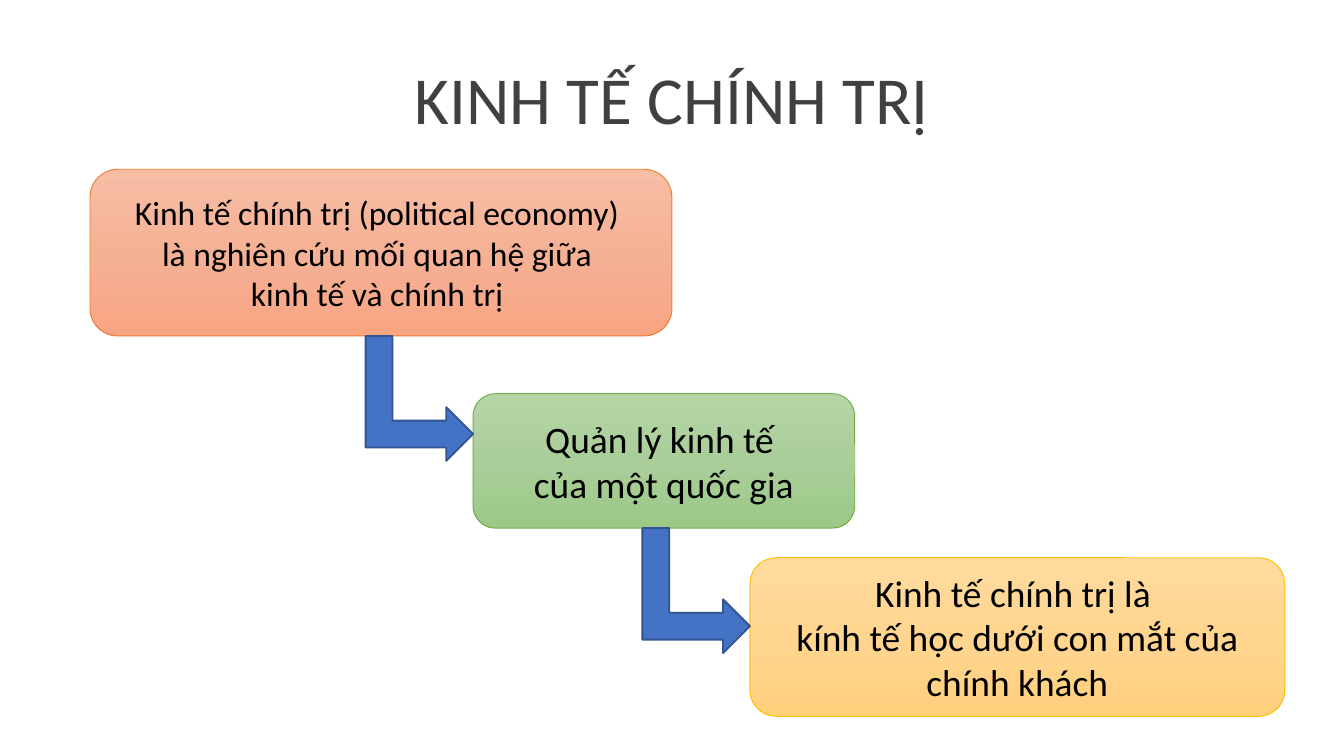
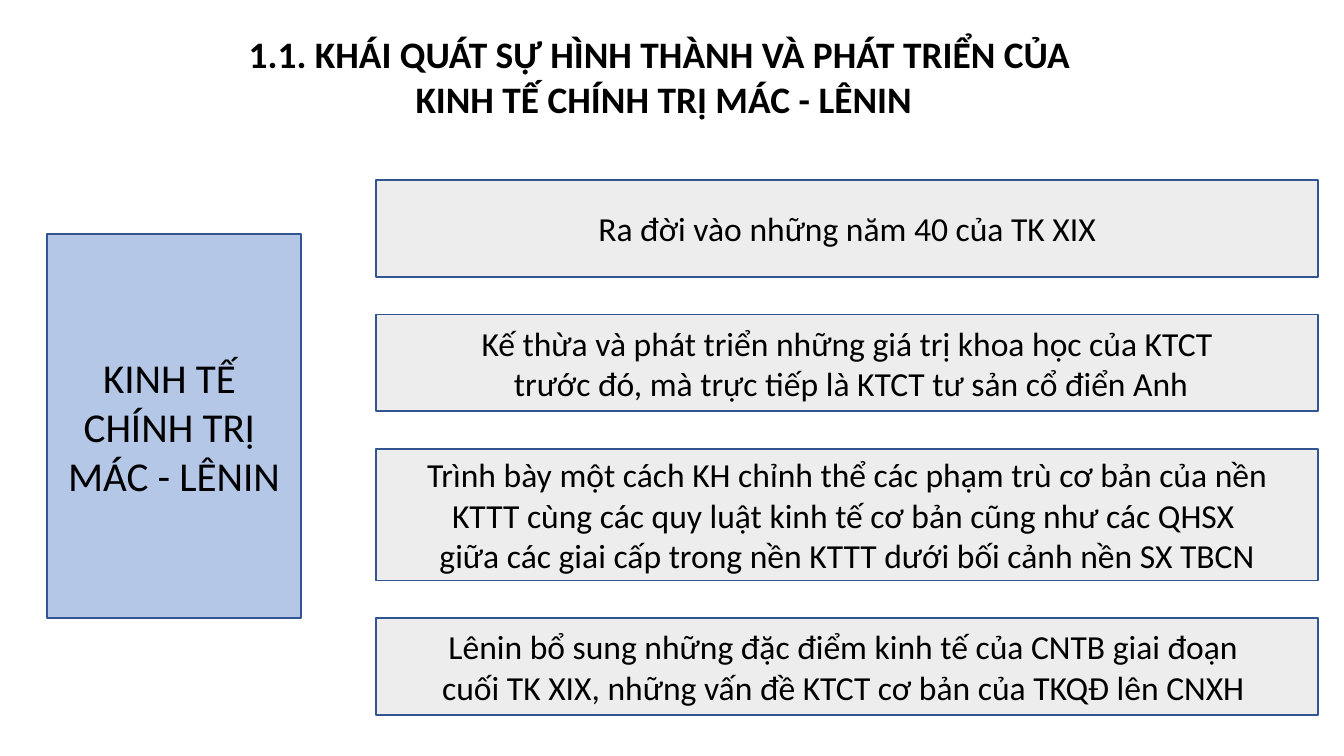
from copy import deepcopy

from pptx import Presentation
from pptx.dml.color import RGBColor
from pptx.enum.shapes import MSO_SHAPE as Shape
from pptx.enum.text import MSO_ANCHOR as Anchor, PP_ALIGN as Align
from pptx.util import Inches, Pt

FONT = "Calibri"
COLORS = {
    "title": "404040",
    "text": "000000",
    "arrow": "4472C4",
    "outline": "325491",
    "topic": "B4C7E7",
    "point": "EDEDED",
    "orange": "ED7D31",
    "green": "70AD47",
    "gold": "FFC000",
}
GRADIENTS = {
    "orange": ("F7BDA5", "F5B196", "F8A582"),
    "green": ("B5D5A7", "AACE9A", "9CC987"),
    "gold": ("FFDB9E", "FFD590", "FFD07C"),
}
STEPS = [
    ((0.67, 1.26, 4.33, 1.24), "orange", 18,
     ["Kinh tế chính trị (political economy) ",
      "là nghiên cứu mối quan hệ giữa ",
      "kinh tế và chính trị "]),
    ((3.52, 2.93, 2.84, 1), "green", 20,
     ["Quản lý kinh tế ", "của một quốc gia"]),
    ((5.58, 4.15, 3.98, 1.18), "gold", 20,
     ["Kinh tế chính trị là ",
      "kính tế học dưới con mắt của chính khách"]),
]
TOPIC = ["KINH TẾ ", "CHÍNH TRỊ ", "MÁC - LÊNIN"]
POINTS = [
    (0.72, ["Ra đời vào những năm 40 của TK XIX"]),
    (0.72, ["Kế thừa và phát triển những giá trị khoa học của KTCT",
            " trước đó, mà trực tiếp là KTCT tư sản cổ điển Anh"]),
    (0.98, ["Trình bày một cách KH chỉnh thể các phạm trù cơ bản của nền "
            "KTTT cùng các quy luật kinh tế cơ bản cũng như các QHSX ",
            "giữa các giai cấp trong nền KTTT dưới bối cảnh nền SX TBCN"]),
    (0.72, ["Lênin bổ sung những đặc điểm kinh tế của CNTB giai đoạn ",
            "cuối TK XIX, những vấn đề KTCT cơ bản của TKQĐ lên CNXH "]),
]


def color(name):
    """Return the named palette colour."""
    return RGBColor.from_string(COLORS[name])


def write(shape, lines, size, ink="text", bold=False, inset=0.1):
    """Write centred paragraphs in the middle of a shape and return them."""
    frame = shape.text_frame
    frame.word_wrap = True
    frame.vertical_anchor = Anchor.MIDDLE
    frame.margin_left = frame.margin_right = Inches(inset)
    frame.text = "\n".join(lines)
    for paragraph in frame.paragraphs:
        paragraph.alignment = Align.CENTER
        font = paragraph.font
        font.name, font.size, font.bold = FONT, Pt(size), bold
        font.color.rgb = color(ink)
    return frame.paragraphs


def add_title(slide, box, lines, size, ink="text", bold=False):
    """Add a centred slide title and return its paragraphs."""
    text_box = slide.shapes.add_textbox(*map(Inches, box))
    return write(text_box, lines, size, ink, bold)


def add_block(slide, kind, box, fill, line="outline", weight=1):
    """Add a flat outlined shape, filled by a colour name."""
    shape = slide.shapes.add_shape(kind, *map(Inches, box))
    shape.shadow.inherit = False
    shape.fill.solid()
    shape.fill.fore_color.rgb = color(fill)
    shape.line.color.rgb = color(line)
    shape.line.width = Pt(weight)
    return shape


def shade(shape, tones):
    """Fill a shape with a top-to-bottom gradient of three tones."""
    shape.fill.gradient()
    shape.fill.gradient_angle = 270
    stop_list = shape.element.xpath(".//a:gsLst")[0]
    stop_list.insert(1, deepcopy(stop_list[0]))
    for stop, position, tone in zip(shape.fill.gradient_stops, (0, 0.5, 1), tones):
        stop.position = position
        stop.color.rgb = RGBColor.from_string(tone)


def add_step(slide, box, tone, size, lines):
    """Add one rounded step of the staircase."""
    step = add_block(slide, Shape.ROUNDED_RECTANGLE, box, tone, tone, 0.5)
    shade(step, GRADIENTS[tone])
    write(step, lines, size)


def add_step_arrow(slide, upper, lower, length=0.93, depth=0.8):
    """Add a bent arrow from below the upper box to the left of the lower one."""
    center_x = lower[0] - depth / 2
    center_y = upper[1] + upper[3] + length / 2
    box = (center_x - length / 2, center_y - depth / 2, length, depth)
    add_block(slide, Shape.BENT_UP_ARROW, box, "arrow").rotation = 90


def add_points(slide, left, top, width, gap=0.28):
    """Stack the point boxes with equal gaps."""
    for height, lines in POINTS:
        box = (left, top, width, height)
        point = add_block(slide, Shape.RECTANGLE, box, "point")
        write(point, lines, 18, inset=0.12)
        top += height + gap


def build_definition_slide(slide):
    """Build the staircase that defines political economy."""
    title = add_title(slide, (0, 0.61, 10, 0.31), ["KINH TẾ CHÍNH TRỊ"], 36, "title")[0]
    title.line_spacing = 0.9
    title.space_before = Pt(7.5)
    for step in STEPS:
        add_step(slide, *step)
    for upper, lower in zip(STEPS, STEPS[1:]):
        add_step_arrow(slide, upper[0], lower[0])


def build_overview_slide(slide):
    """Build the overview with one topic and its points."""
    add_title(slide, (1.1, 0.09, 7.68, 0.95),
              ["1.1. KHÁI QUÁT SỰ HÌNH THÀNH VÀ PHÁT TRIỂN CỦA ",
               "KINH TẾ CHÍNH TRỊ MÁC - LÊNIN"], 20, bold=True)
    topic = add_block(slide, Shape.RECTANGLE, (0.35, 1.74, 1.89, 2.86), "topic")
    write(topic, TOPIC, 22)
    add_points(slide, 2.8, 1.34, 7.01)


def main():
    """Build and save the widescreen presentation."""
    presentation = Presentation()
    presentation.slide_width = Inches(10)
    presentation.slide_height = Inches(10 * 9 / 16)
    blank = presentation.slide_layouts[6]
    for build in (build_definition_slide, build_overview_slide):
        build(presentation.slides.add_slide(blank))
    presentation.save("out.pptx")


if __name__ == "__main__":
    main()
